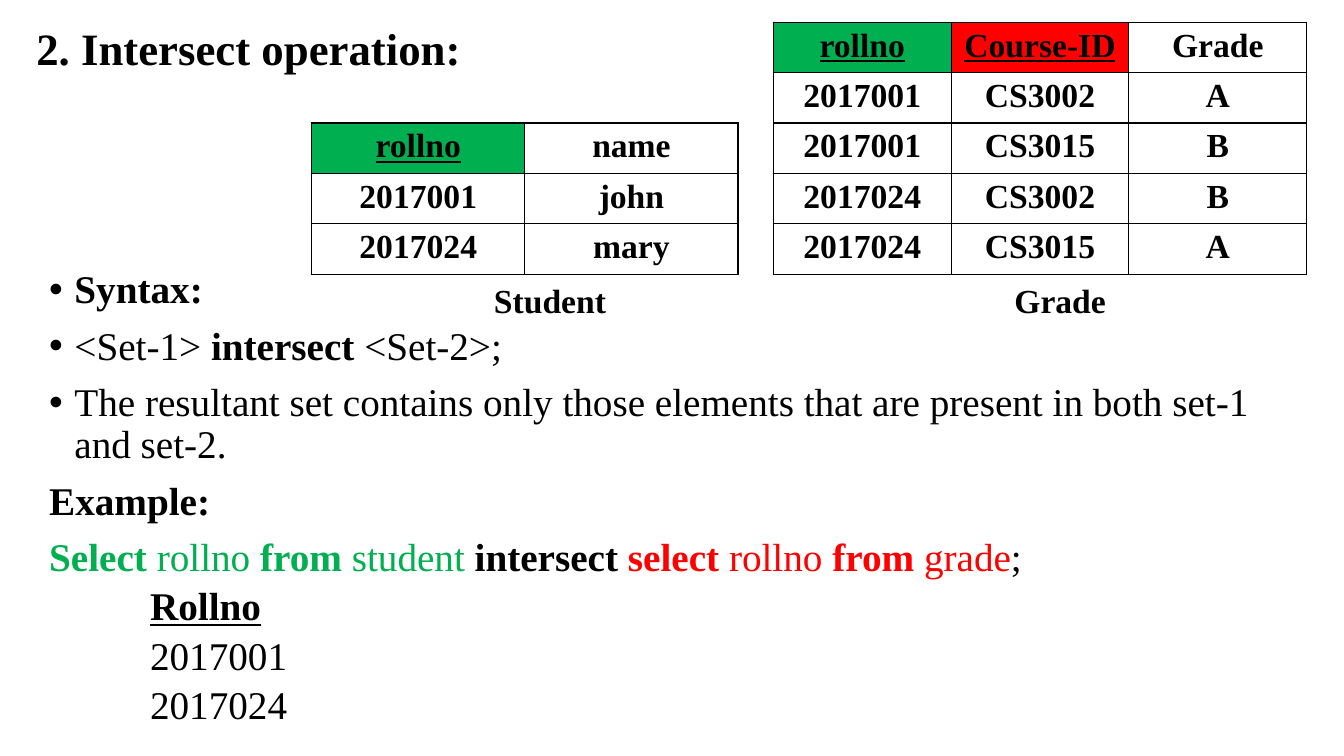
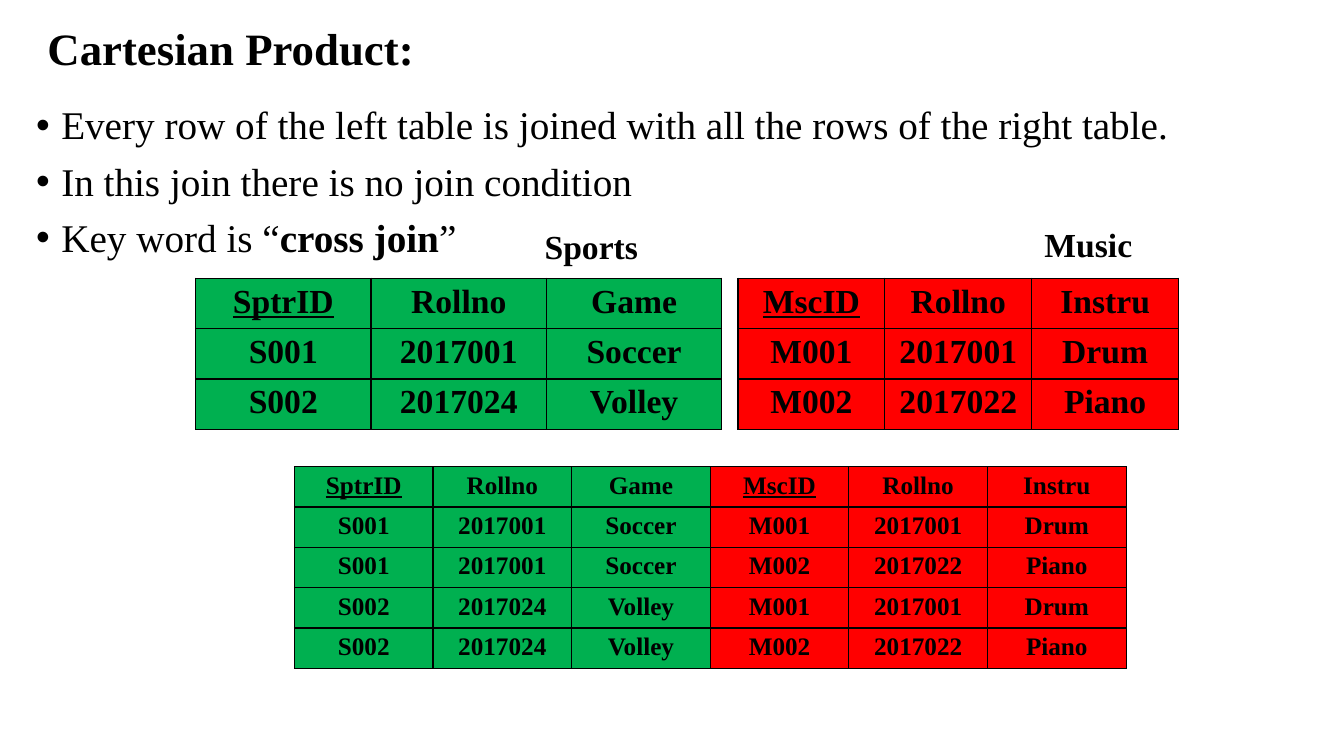
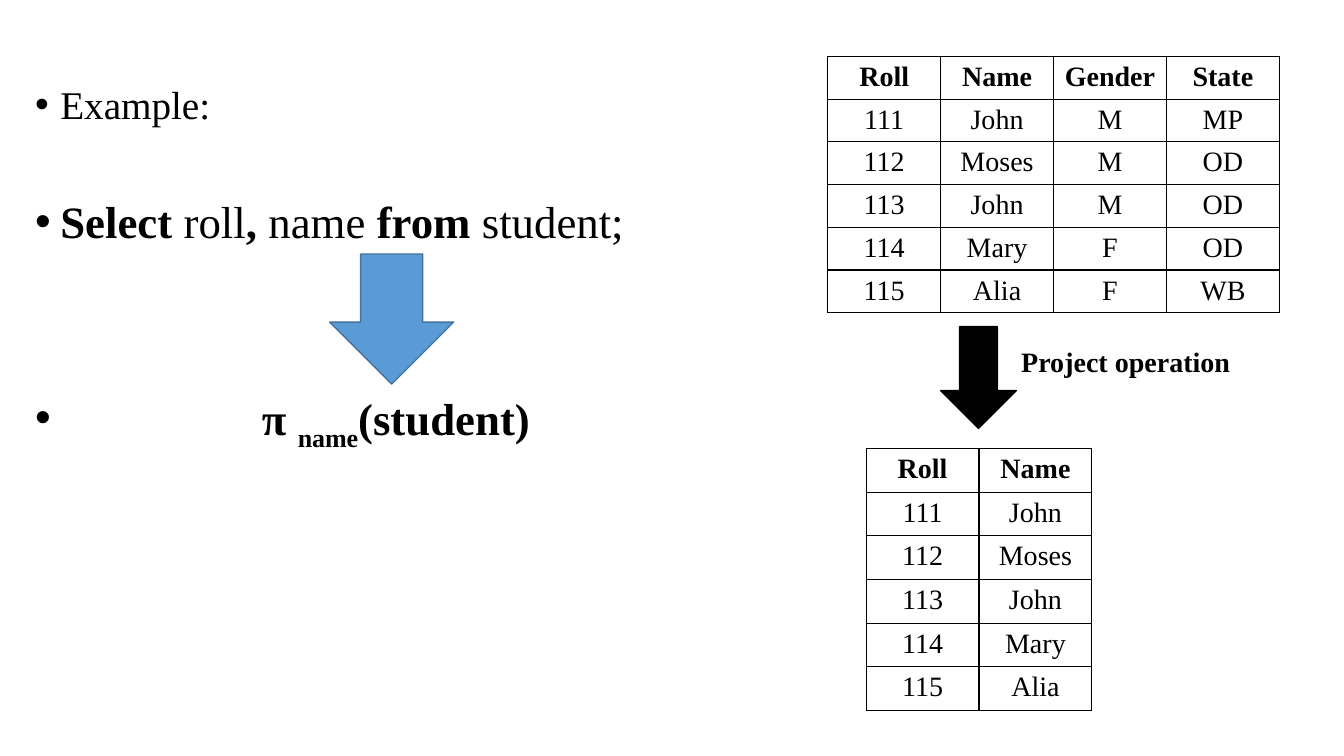
from itertools import product

from pptx import Presentation
from pptx import util as u
from pptx.dml.color import RGBColor
from pptx.enum import shapes, text
from pptx.oxml import parse_xml
from pptx.oxml.ns import nsdecls

# Shared style
PX = 9144  # EMU in one px, 100 px to the inch
FONT = "Times New Roman"
BLACK, GREEN, RED, BLUE, NAVY = "000000", "00B050", "FF0000", "5B9BD5", "43739E"
KEYS = {"rollno", "Course-ID", "SptrID", "MscID"}
TITLE_ONLY, BLANK = 5, 6
BOLD = {"bold": True}


def px(*lengths):
    return [u.Emu(n * PX) for n in lengths]


def rgb(value):
    return RGBColor.from_string(value)


def set_all(target, values):
    for name, value in values.items():
        setattr(target, name, value)


class Deck:
    """Holds the style and the current slide."""

    def __init__(self):
        self.prs = Presentation()
        self.prs.slide_width, self.prs.slide_height = px(1333, 750)

    def new_slide(self, layout):
        self.s = self.prs.slides.add_slide(self.prs.slide_layouts[layout])

    def run(self, p, words, color=BLACK, base=None, **font):
        r = p.add_run()
        r.text = words
        set_all(r.font, {"name": FONT, "bold": False, **font})
        r.font.color.rgb = rgb(color)
        if base:
            r.font._element.set("baseline", str(base))

    def title(self, words, left, width):
        sp = self.s.shapes.title
        set_all(sp, dict(zip(("left", "top", "width", "height"),
                             px(left, 22, width, 77))))
        tf = sp.text_frame
        set_all(tf, {"word_wrap": True, "auto_size": text.MSO_AUTO_SIZE.NONE,
                     "vertical_anchor": text.MSO_ANCHOR.TOP})
        p = tf.paragraphs[0]
        set_all(p, {"alignment": text.PP_ALIGN.LEFT, "line_spacing": 0.9})
        self.run(p, words, size=u.Pt(32), bold=True)

    def text_box(self, *box):
        tf = self.s.shapes.add_textbox(*px(*box)).text_frame
        tf.word_wrap = True
        return tf

    def label(self, words, left, top, width=257, size=24,
              align=text.PP_ALIGN.CENTER):
        p = self.text_box(left, top, width, 50).paragraphs[0]
        p.alignment = align
        self.run(p, words, size=u.Pt(size), bold=True)

    def body(self, box, paragraphs):
        """Each paragraph is (runs, options); a run is (words, format)."""
        tf = self.text_box(*box)
        for i, (runs, options) in enumerate(paragraphs):
            p = tf.paragraphs[0] if i == 0 else tf.add_paragraph()
            self.body_paragraph(p, runs, first=i == 0, **options)

    def body_paragraph(self, p, runs, first, bullet=True, indent=25,
                       before=10, size=28):
        pPr = p._p.get_or_add_pPr()
        pPr.set("marL", str(indent * PX))
        pPr.set("indent", str(-indent * PX if bullet else 0))
        if bullet:
            for xml in ('<a:buFont %s typeface="Arial"/>',
                        '<a:buChar %s char="•"/>'):
                pPr.append(parse_xml(xml % nsdecls("a")))
        p.line_spacing = 0.9
        if not first:
            p.space_before = u.Pt(before)
        for words, style in runs:
            self.run(p, words, size=u.Pt(size), **style)

    def table(self, box, rows, size=24, fills=None, fill_rows=None,
              bold_rows=None):
        """Fills go by column; the row counts limit fill and bold."""
        frame = self.s.shapes.add_table(len(rows), len(rows[0]), *px(*box))
        table = frame.table
        set_all(table, {"first_row": False, "horz_banding": False})
        for y, row in enumerate(rows):
            bold = bold_rows is None or y < bold_rows
            filled = fills and (fill_rows is None or y < fill_rows)
            for x, words in enumerate(row):
                self.cell(table.cell(y, x), words, fills[x] if filled else None,
                          size=u.Pt(size), bold=bold, underline=words in KEYS)

    def cell(self, cell, words, fill, **font):
        cell.margin_top, cell.margin_bottom = px(5, 4)
        p = cell.text_frame.paragraphs[0]
        p.alignment = text.PP_ALIGN.CENTER
        self.run(p, words, **font)
        tcPr = cell._tc.get_or_add_tcPr()
        for side in "LRTB":
            tcPr.append(parse_xml(
                f'<a:ln{side} {nsdecls("a")} w="12700"><a:solidFill>'
                f'<a:srgbClr val="{BLACK}"/></a:solidFill></a:ln{side}>'))
        if fill:
            cell.fill.solid()
            cell.fill.fore_color.rgb = rgb(fill)
        else:
            cell.fill.background()

    def down_arrow(self, box, fill, line):
        sp = self.s.shapes.add_shape(shapes.MSO_SHAPE.DOWN_ARROW, *px(*box))
        sp.shadow.inherit = False
        sp.fill.solid()
        sp.fill.fore_color.rgb = rgb(fill)
        sp.line.color.rgb = rgb(line)
        sp.line.width = u.Pt(1)


def intersect_slide(deck):
    deck.new_slide(TITLE_ONLY)
    deck.title("2. Intersect operation:", 26, 609)
    grades = [("rollno", "Course-ID", "Grade"),
              ("2017001", "CS3002", "A"), ("2017001", "CS3015", "B"),
              ("2017024", "CS3002", "B"), ("2017024", "CS3015", "A")]
    students = [("rollno", "name"), ("2017001", "john"), ("2017024", "mary")]
    deck.label("Student", 417, 273)
    deck.label("Grade", 923, 273)
    deck.table((767, 22, 529, 150), grades[:3],
               fills=(GREEN, RED, None), fill_rows=1)
    deck.table((767, 172, 529, 100), grades[3:])
    deck.table((309, 122, 423, 150), students,
               fills=(GREEN, None), fill_rows=1)

    # Syntax, example query and its result
    plain = {"bullet": False, "indent": 0}
    result = {"bullet": False, "indent": 100, "before": 5}
    green, red = {"color": GREEN}, {"color": RED}
    deck.body((39, 263, 1270, 460), [
        ([("Syntax:", BOLD)], {}),
        ([("<Set-1> ", {}), ("intersect", BOLD), (" <Set-2>;", {})], {}),
        ([("The resultant set contains only those elements that are present "
           "in both set-1 and set-2.", {})], {}),
        ([("Example:", BOLD)], plain),
        ([("Select ", {**green, **BOLD}), ("rollno ", green),
          ("from", {**green, **BOLD}), (" student ", green),
          ("intersect ", BOLD),
          ("select ", {**red, **BOLD}), ("rollno ", red),
          ("from", {**red, **BOLD}), (" grade", red), (";", {})], plain),
        ([("Rollno", {"bold": True, "underline": True})], result),
        ([("2017001", {})], result),
        ([("2017024", {})], result),
    ])


def product_slide(deck):
    deck.new_slide(TITLE_ONLY)
    deck.title("Cartesian Product:", 37, 425)
    deck.body((26, 100, 1270, 318), [
        ([("Every row of the left table is joined with all the rows of the "
           "right table.", {})], {}),
        ([("In this join there is no join condition", {})], {}),
        ([("Key word is “", {}), ("cross join", BOLD), ("”", {})], {}),
    ])
    sports = [("SptrID", "Rollno", "Game"),
              ("S001", "2017001", "Soccer"), ("S002", "2017024", "Volley")]
    music = [("MscID", "Rollno", "Instru"),
             ("M001", "2017001", "Drum"), ("M002", "2017022", "Piano")]
    joined = [sports[0] + music[0]]
    joined += [left + right for left, right in product(sports[1:], music[1:])]
    deck.label("Music", 951, 217)
    deck.label("Sports", 458, 219)
    deck.table((194, 276, 522, 150), sports, fills=[GREEN] * 3)
    deck.table((732, 276, 437, 150), music, fills=[RED] * 3)
    deck.table((292, 463, 825, 200), joined, size=18,
               fills=[GREEN] * 3 + [RED] * 3)


def project_slide(deck):
    deck.new_slide(BLANK)
    deck.body((25, 80, 770, 646), [
        ([("Example:", {})], {}),
        ([("Select ", BOLD), ("roll", {}), (", ", BOLD), ("name", {}),
          (" from ", BOLD), ("student;", {})], {"size": 32, "before": 51}),
        ([("π ", BOLD), ("name", {"bold": True, "base": -25000}),
          ("(student)", BOLD)], {"size": 32, "before": 103, "indent": 225}),
    ])
    deck.down_arrow((327, 252, 123, 129), BLUE, NAVY)

    # Student table projected onto its first two columns
    students = [("Roll", "Name", "Gender", "State"),
                ("111", "John", "M", "MP"), ("112", "Moses", "M", "OD"),
                ("113", "John", "M", "OD"), ("114", "Mary", "F", "OD"),
                ("115", "Alia", "F", "WB")]
    deck.table((821, 56, 448, 246), students, size=20, bold_rows=1)
    deck.down_arrow((933, 324, 75, 101), BLACK, BLACK)
    deck.label("Project operation", 1003, 337, width=297, size=20,
               align=text.PP_ALIGN.LEFT)
    deck.table((859, 445, 224, 260), [row[:2] for row in students],
               size=20, bold_rows=1)


def main():
    deck = Deck()
    intersect_slide(deck)
    product_slide(deck)
    project_slide(deck)
    deck.prs.save("out.pptx")


if __name__ == "__main__":
    main()
